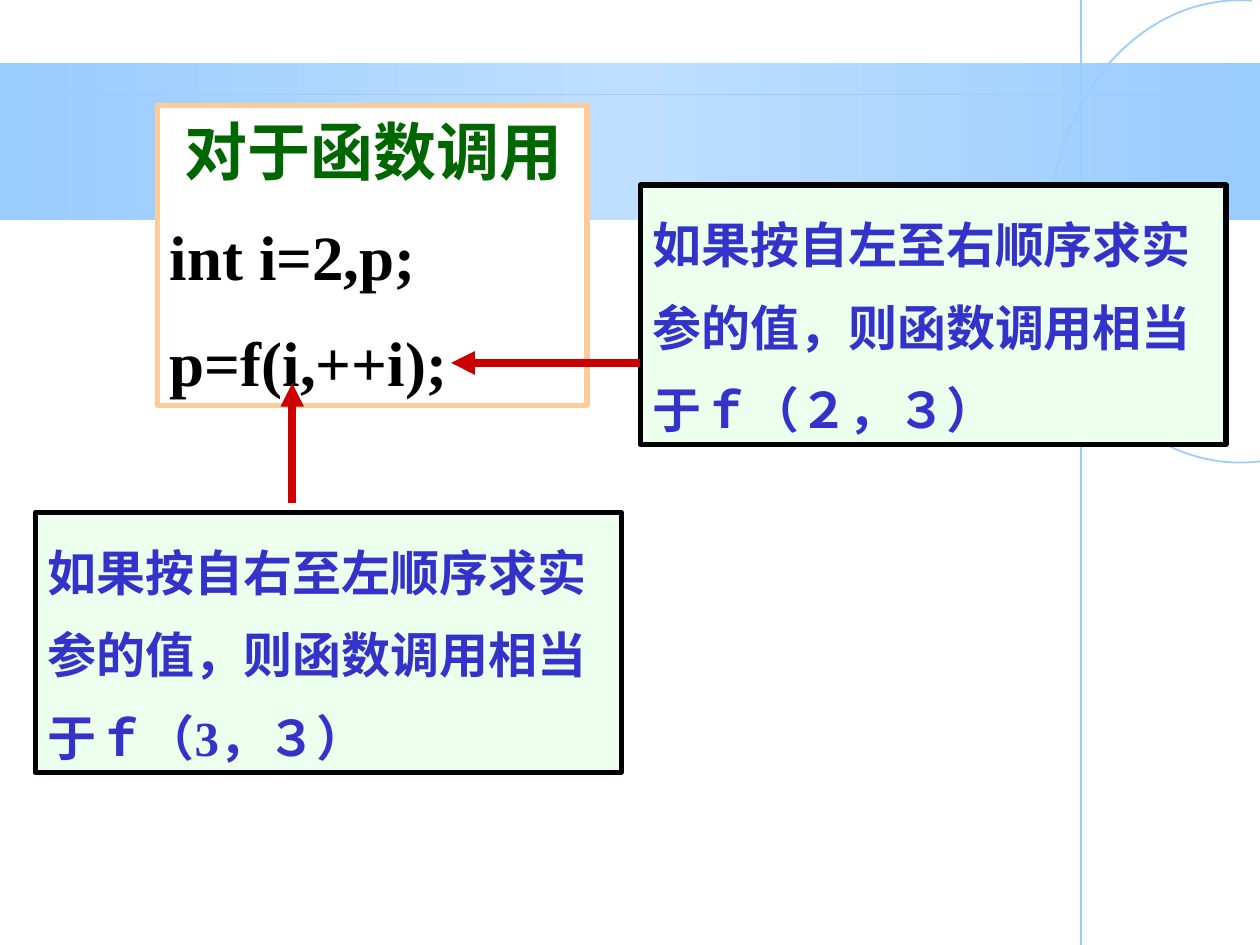
from copy import deepcopy

from pptx import Presentation
from pptx import util as u
from pptx.dml.color import RGBColor
from pptx.enum import shapes, text
from pptx.oxml.ns import qn
from lxml import etree

Pt = u.Pt
FONT = "Times New Roman"
SKY = "99CCFF"
ARROW_RED = "CC0000"
CALLOUT_SIZE = (334.8, 148.3)


def color(hex_string):
    return RGBColor.from_string(hex_string)


def add_line(slide, start, end, line_color, width, arrow=False):
    line = slide.shapes.add_connector(
        shapes.MSO_CONNECTOR.STRAIGHT, *(Pt(v) for v in (*start, *end)))
    line.line.color.rgb = color(line_color)
    line.line.width = Pt(width)
    if arrow:
        etree.SubElement(line.line._get_or_add_ln(), qn("a:tailEnd"), type="triangle")
    etree.SubElement(line._element.spPr, qn("a:effectLst"))


def add_backdrop(slide, width, height):
    # Band shading from the edges to a lighter middle
    band = slide.shapes.add_shape(
        shapes.MSO_SHAPE.RECTANGLE, 0, Pt(36), Pt(width), Pt(90))
    band.shadow.inherit = False
    band.line.fill.background()
    band.fill.gradient()
    band.fill.gradient_angle = 0
    stop_list = band._element.spPr.find(qn("a:gradFill")).find(qn("a:gsLst"))
    stop_list.insert(1, deepcopy(stop_list[0]))
    for stop, position, tint in zip(
            band.fill.gradient_stops, (0, 0.5, 1), (SKY, "BEDFFF", SKY)):
        stop.position = position
        stop.color.rgb = color(tint)

    # Thin rules
    add_line(slide, (0, 54), (width, 54), SKY, 1)
    add_line(slide, (617.8, 0), (617.8, height), SKY, 1.5)

    # Open circle at the right edge; its angles are stored in 60000ths of a degree
    circle = slide.shapes.add_shape(
        shapes.MSO_SHAPE.ARC, Pt(599.8), Pt(0.2), Pt(217.4), Pt(264.2))
    circle.shadow.inherit = False
    circle.fill.background()
    circle.line.color.rgb = color(SKY)
    circle.line.width = Pt(1)
    circle.adjustments[0] = 85 * 0.6
    circle.adjustments[1] = 273 * 0.6


def add_panel(slide, box, fill, border, paragraphs):
    """Bordered panel; each paragraph is (wording, size, color, line spacing)."""
    panel = slide.shapes.add_shape(
        shapes.MSO_SHAPE.RECTANGLE, *(Pt(v) for v in box))
    panel.shadow.inherit = False
    panel.fill.solid()
    panel.fill.fore_color.rgb = color(fill)
    panel.line.color.rgb = color(border)
    panel.line.width = Pt(3)
    frame = panel.text_frame
    frame.word_wrap = True
    frame.auto_size = text.MSO_AUTO_SIZE.SHAPE_TO_FIT_TEXT
    frame.vertical_anchor = text.MSO_ANCHOR.TOP
    for index, (wording, size, ink, spacing) in enumerate(paragraphs):
        paragraph = frame.add_paragraph() if index else frame.paragraphs[0]
        paragraph.text = wording
        paragraph.alignment = text.PP_ALIGN.LEFT
        paragraph.line_spacing = spacing
        paragraph.font.name = FONT
        paragraph.font.size = Pt(size)
        paragraph.font.bold = True
        paragraph.font.color.rgb = color(ink)


def add_callout(slide, left, top, wording):
    add_panel(slide, (left, top, *CALLOUT_SIZE), "EDFFED", "000000",
              [(wording, 28, "3333CC", 1.4)])


def main():
    deck = Presentation()
    deck.slide_width, deck.slide_height = Pt(720), Pt(540)
    slide = deck.slides.add_slide(deck.slide_layouts[6])
    add_backdrop(slide, 720, 540)

    # Results of the two evaluation orders
    add_callout(slide, 365.8, 105.8, "如果按自左至右顺序求实参的值，则函数调用相当于ｆ（２，３）")
    add_callout(slide, 20.2, 293, "如果按自右至左顺序求实参的值，则函数调用相当于ｆ（3，３）")

    # Code example
    add_panel(slide, (90, 60.5, 245.5, 171.4), "FFFFFF", "FFCC99", [
        (" 对于函数调用", 36, "006600", 1),
        ("int i=2,p;", 36, "000000", 1.4),
        ("p=f(i,++i);", 36, "000000", 1.4),
    ])

    # Arrows from the callouts to the call
    add_line(slide, (365.8, 207.4), (257.8, 207.4), ARROW_RED, 4.5, arrow=True)
    add_line(slide, (167, 287.3), (167, 218.9), ARROW_RED, 4.5, arrow=True)

    deck.save("out.pptx")


if __name__ == "__main__":
    main()
